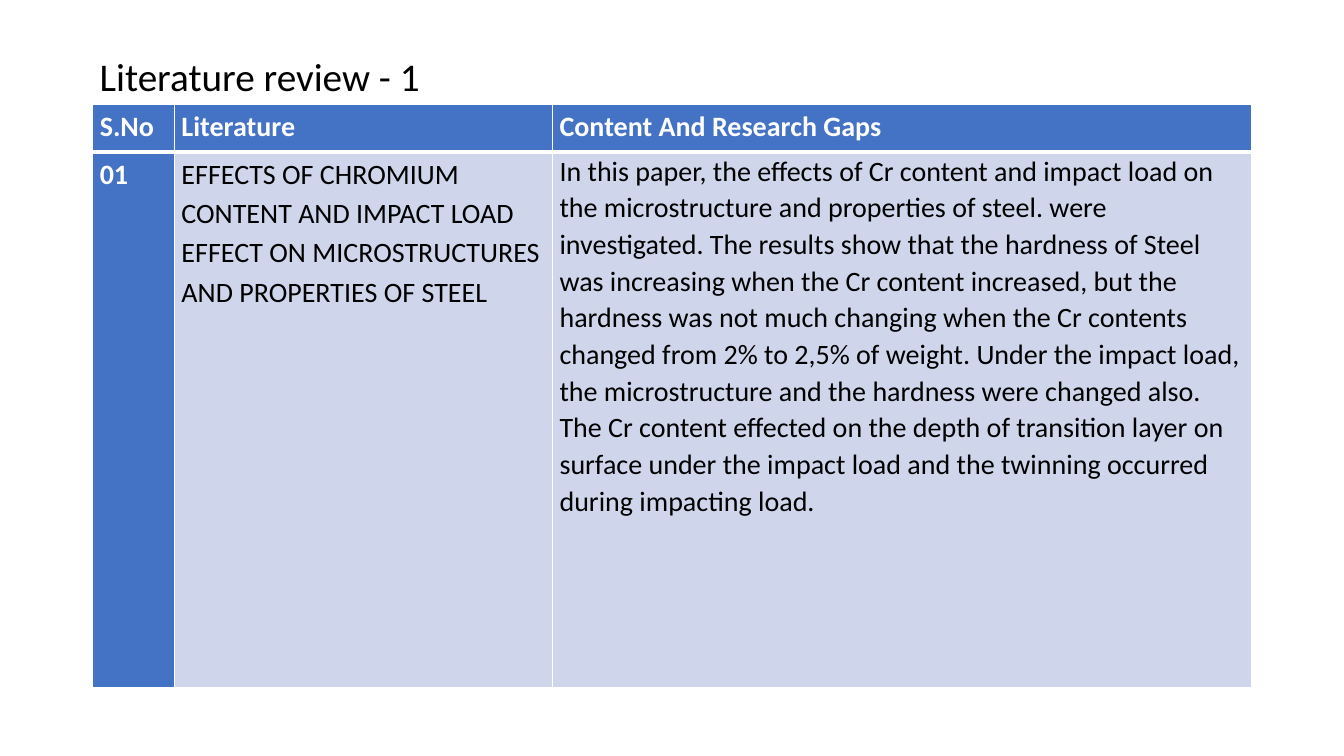
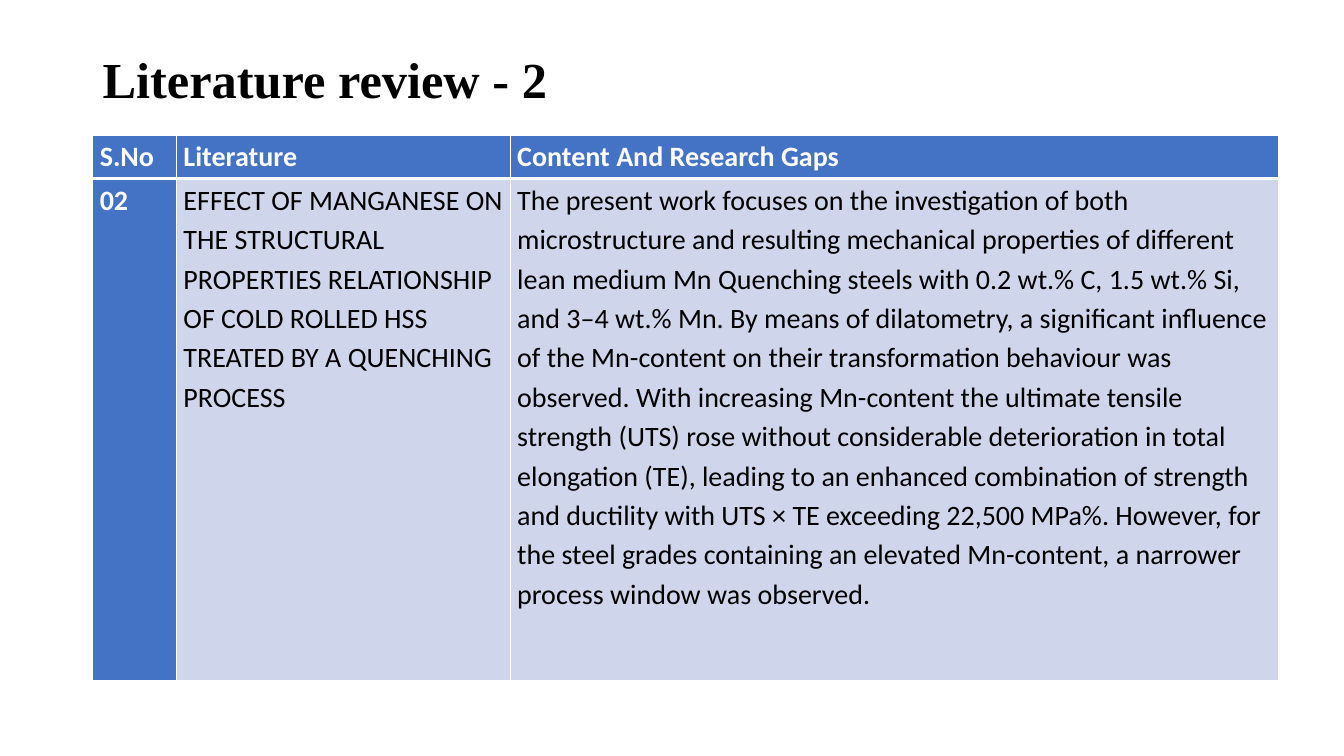
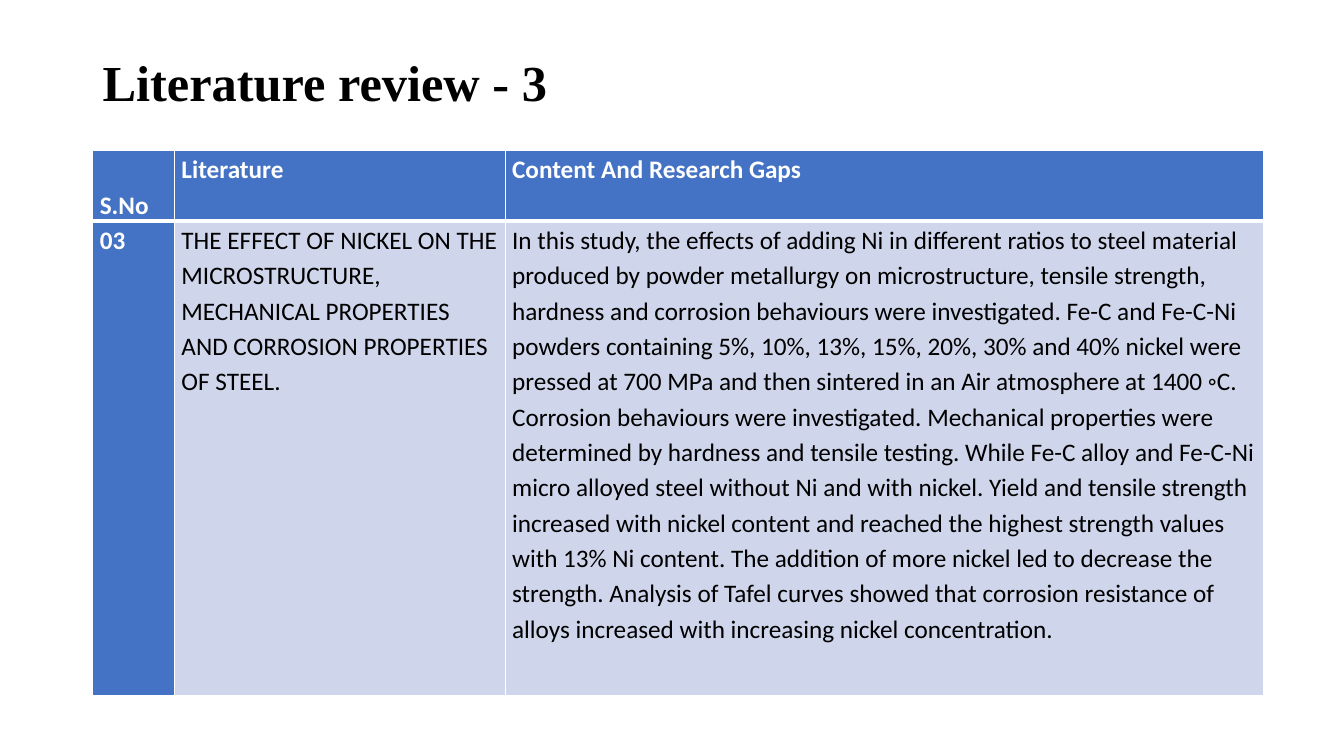
"""Build three literature review slides, each with a title and a two-row table."""
from lxml import etree
from pptx import Presentation
from pptx import util as u
from pptx.dml.color import RGBColor
from pptx.enum import text
from pptx.oxml import ns

THEME = {
    "blue": "4472C4", "pale": "CFD5EA", "white": "FFFFFF", "black": "000000",
    "body_font": "Calibri", "title_font": "Times New Roman",
    "title_size": 36, "plain_title_size": 28, "thin": 1, "thick": 3,
}
HEADERS = ["S.No", "Literature", "Content And Research Gaps"]
TABLE_LEFT = 0.92
TOP, MIDDLE, BOTTOM = text.MSO_ANCHOR.TOP, text.MSO_ANCHOR.MIDDLE, text.MSO_ANCHOR.BOTTOM

PLAIN_TITLE = {"box": (0.89, 0.47, 5.78, 0.57), "anchor": TOP, "spacing": 1.0,
               "font": {"name": THEME["body_font"], "size": THEME["plain_title_size"], "bold": False}}
BOLD_TITLE = {"box": (0.92, 0.4, 11.5, 0.83), "anchor": MIDDLE, "spacing": 0.9,
              "font": {"name": THEME["title_font"], "size": THEME["title_size"], "bold": True}}

REVIEWS = [
    {"title": PLAIN_TITLE, "top": 1.04, "cols": (0.81, 3.75, 6.93), "rows": (0.47, 5.31),
     "size": 20, "content_spacing": 1.07, "number_anchor": TOP,
     "literature": "EFFECTS OF CHROMIUM CONTENT AND IMPACT LOAD EFFECT ON MICROSTRUCTURES "
                   "AND PROPERTIES OF STEEL",
     "content": [
         "In this paper, the effects of Cr content and impact load on the microstructure and "
         "properties of steel. were investigated.",
         "The results show that the hardness of Steel was increasing when the Cr content "
         "increased, but the hardness was not much changing when the Cr contents changed from "
         "2% to 2,5% of weight.",
         "Under the impact load, the microstructure and the hardness were changed also.",
         "The Cr content effected on the depth of transition layer on surface under the impact "
         "load and the twinning occurred during impacting load."]},
    {"title": BOLD_TITLE, "top": 1.34, "cols": (0.83, 3.31, 7.62), "rows": (0.43, 4.98),
     "size": 20, "content_spacing": 1.15, "number_anchor": TOP,
     "literature": "EFFECT OF MANGANESE ON THE STRUCTURAL PROPERTIES RELATIONSHIP OF COLD ROLLED "
                   "HSS TREATED BY A QUENCHING PROCESS",
     "content": [
         "The present work focuses on the investigation of both microstructure and resulting "
         "mechanical properties of different lean medium Mn Quenching steels with 0.2 wt.% C, "
         "1.5 wt.% Si, and 3–4 wt.% Mn.",
         "By means of dilatometry, a significant influence of the Mn-content on their "
         "transformation behaviour was observed.",
         "With increasing Mn-content the ultimate tensile strength (UTS) rose without "
         "considerable deterioration in total elongation (TE), leading to an enhanced "
         "combination of strength and ductility with UTS × TE exceeding 22,500 MPa%.",
         "However, for the steel grades containing an elevated Mn-content, a narrower process "
         "window was observed."]},
    {"title": {**BOLD_TITLE, "box": (0.92, 0.4, 11.5, 0.9)},
     "top": 1.49, "cols": (0.81, 3.28, 7.52), "rows": (0.7, 4.71),
     "size": 18, "content_spacing": 1.15, "number_anchor": BOTTOM,
     "literature": "THE EFFECT OF NICKEL ON THE MICROSTRUCTURE, MECHANICAL PROPERTIES AND "
                   "CORROSION PROPERTIES OF STEEL.",
     "content": [
         "In this study, the effects of adding Ni in different ratios to steel material "
         "produced by powder metallurgy on microstructure, tensile strength, hardness and "
         "corrosion behaviours were investigated.",
         "Fe-C and Fe-C-Ni powders containing 5%, 10%, 13%, 15%, 20%, 30% and 40% nickel were "
         "pressed at 700 MPa and then sintered in an Air atmosphere at 1400 ◦C.",
         "Corrosion behaviours were investigated.",
         "Mechanical properties were determined by hardness and tensile testing.",
         "While Fe-C alloy and Fe-C-Ni micro alloyed steel without Ni and with nickel.",
         "Yield and tensile strength increased with nickel content and reached the highest "
         "strength values with 13% Ni content.",
         "The addition of more nickel led to decrease the strength.",
         "Analysis of Tafel curves showed that corrosion resistance of alloys increased with "
         "increasing nickel concentration."]},
]


def write(tf, words, spacing, color, font):
    p = tf.paragraphs[0]
    p.line_spacing = spacing
    r = p.add_run()
    r.text = words
    for name, value in font.items():
        setattr(r.font, name, u.Pt(value) if name == "size" else value)
    r.font.color.rgb = RGBColor.from_string(color)


def add_borders(cell, widths):
    tcPr = cell._tc.get_or_add_tcPr()
    for side, width in widths.items():
        ln = etree.SubElement(tcPr, ns.qn(f"a:ln{side}"), w=str(u.Pt(width)))
        fill = etree.SubElement(ln, ns.qn("a:solidFill"))
        etree.SubElement(fill, ns.qn("a:srgbClr"), val=THEME["white"])


prs = Presentation()
prs.slide_width, prs.slide_height = u.Inches(13.33), u.Inches(7.5)

for number, review in enumerate(REVIEWS, 1):
    s = prs.slides.add_slide(prs.slide_layouts[6])

    title = review["title"]
    tf = s.shapes.add_textbox(*map(u.Inches, title["box"])).text_frame
    tf.word_wrap = True
    tf.vertical_anchor = title["anchor"]
    write(tf, f"Literature review - {number}", title["spacing"], THEME["black"], title["font"])

    cols, rows = review["cols"], review["rows"]
    frame = (TABLE_LEFT, review["top"], sum(cols), sum(rows))
    table = s.shapes.add_table(len(rows), len(cols), *map(u.Inches, frame)).table
    table.horz_banding = False
    for column, width in zip(table.columns, cols):
        column.width = u.Inches(width)
    for row, height in zip(table.rows, rows):
        row.height = u.Inches(height)

    cells = [HEADERS, [f"{number:02d}", review["literature"], " ".join(review["content"])]]
    for i, line in enumerate(cells):
        for j, words in enumerate(line):
            cell = table.cell(i, j)
            strong = i == 0 or j == 0
            widths = dict.fromkeys("LRTB", THEME["thin"])
            widths["T" if i else "B"] = THEME["thick"]
            add_borders(cell, widths)
            cell.fill.solid()
            cell.fill.fore_color.rgb = RGBColor.from_string(THEME["blue" if strong else "pale"])
            layout = {"margin_left": u.Inches(0.07), "margin_right": u.Inches(0.07),
                      "margin_top": 0, "margin_bottom": 0,
                      "vertical_anchor": review["number_anchor"] if i == j == 0 else TOP}
            for name, value in layout.items():
                setattr(cell, name, value)
            write(cell.text_frame, words, review["content_spacing"] if i and j == 2 else 1.15,
                  THEME["white" if strong else "black"],
                  {"name": THEME["body_font"], "size": review["size"], "bold": strong})

prs.save("out.pptx")
